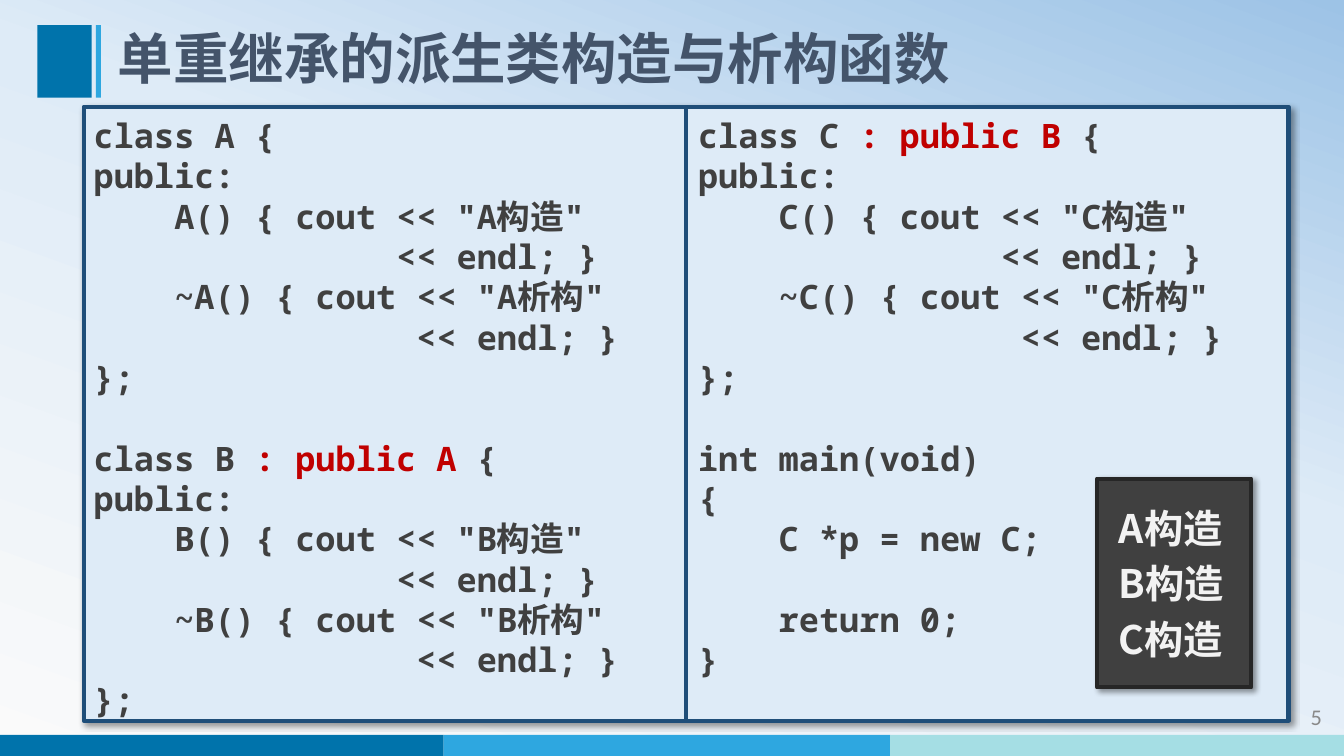
import copy

import lxml.etree
import pptx
import pptx.dml.color
import pptx.enum.shapes
import pptx.enum.text
import pptx.oxml
import pptx.oxml.ns
import pptx.util

Inches, Pt = pptx.util.Inches, pptx.util.Pt
qn = pptx.oxml.ns.qn
ANCHOR = pptx.enum.text.MSO_ANCHOR
ALIGN = pptx.enum.text.PP_ALIGN


class Theme:
    sans, mono, number = "Noto Sans CJK SC", "Noto Sans Mono", "Calibri"
    title_size, code_size, output_size, number_size = 39.6, 24, 28, 16
    line_factor = 1.2          # line pitch relative to type size
    character_width = 0.2      # one monospaced character at code_size, inches
    blue, sky, aqua = "0073AB", "2EA7E0", "A5DEE4"
    title, code, keyword, muted = "44546A", "404040", "C00000", "898989"
    panel, panel_line = "DEEBF7", "1F4E79"
    console, console_line, console_text = "404040", "262626", "F2F2F2"
    border = 3
    background = [(0, "FAFAFA"), (58, "DEEBF7"), (100, "9DC3E6")]
    background_angle = 70      # counter-clockwise degrees


def rgb(value):
    return pptx.dml.color.RGBColor.from_string(value)


def style(paragraph, size, font, color, bold=False):
    paragraph.font.size = Pt(size)
    paragraph.font.name = font
    paragraph.font.bold = bold
    paragraph.font.color.rgb = rgb(color)
    properties = paragraph._p.get_or_add_pPr().find(qn("a:defRPr"))
    east_asian = lxml.etree.Element(qn("a:ea"), typeface=Theme.sans)
    properties.find(qn("a:latin")).addnext(east_asian)


def set_indent(paragraph, left, first=0):
    properties = paragraph._p.get_or_add_pPr()
    properties.set("marL", str(Inches(left)))
    properties.set("indent", str(Inches(first)))


def add_shadow(shape):
    effects = shape._element.spPr.find(qn("a:effectLst"))
    effects.append(pptx.oxml.parse_xml(
        f'<a:outerShdw {pptx.oxml.ns.nsdecls("a")} blurRad="{Pt(4)}" dist="{Pt(3)}" '
        'dir="2700000" algn="tl" rotWithShape="0"><a:srgbClr val="000000">'
        '<a:alpha val="40000"/></a:srgbClr></a:outerShdw>'))


def add_rectangle(slide, box, fill, line=None):
    """A plain rectangle; an outlined one also casts a shadow."""
    shape = slide.shapes.add_shape(
        pptx.enum.shapes.MSO_SHAPE.RECTANGLE, *map(Inches, box))
    shape.shadow.inherit = False
    shape.fill.solid()
    shape.fill.fore_color.rgb = rgb(fill)
    if line:
        shape.line.color.rgb = rgb(line)
        shape.line.width = Pt(Theme.border)
        add_shadow(shape)
    else:
        shape.line.fill.background()
    return shape


def add_text_frame(slide, box, anchor):
    frame = slide.shapes.add_textbox(*map(Inches, box)).text_frame
    frame.word_wrap = True
    frame.vertical_anchor = anchor
    return frame


def paint_background(slide):
    fill = slide.background.fill
    fill.gradient()
    fill.gradient_angle = Theme.background_angle
    stop_list = slide._element.find(".//" + qn("a:gsLst"))
    stop_list.insert(1, copy.deepcopy(stop_list[0]))
    for stop, (position, color) in zip(fill.gradient_stops, Theme.background):
        stop.position = position / 100
        stop.color.rgb = rgb(color)


def add_footer(slide, box, number):
    left, top, width, height = box
    edges = [left, left + 4.4, left + 8.83, left + width]
    for start, end, color in zip(edges, edges[1:], (Theme.blue, Theme.sky, Theme.aqua)):
        add_rectangle(slide, (start, top, end - start, height), color)
    frame = add_text_frame(
        slide, (left + width - 1.71, top - 0.38, 1.59, 0.4), ANCHOR.MIDDLE)
    paragraph = frame.paragraphs[0]
    paragraph.text = number
    paragraph.alignment = ALIGN.RIGHT
    style(paragraph, Theme.number_size, Theme.number, Theme.muted)


def add_title(slide, box, text):
    left, top, width, height = box
    add_rectangle(slide, (left, top, 0.54, height), Theme.blue)
    add_rectangle(slide, (left + 0.58, top, 0.05, height), Theme.sky)
    frame = add_text_frame(slide, (left + 0.7, top, width - 0.7, height), ANCHOR.MIDDLE)
    paragraph = frame.paragraphs[0]
    paragraph.text = text
    paragraph.line_spacing = 0.9
    style(paragraph, Theme.title_size, Theme.sans, Theme.title, True)


def add_code(slide, box, lines):
    """Lines are (indent in characters, text, ...); odd pieces are highlighted."""
    frame = add_text_frame(slide, box, ANCHOR.TOP)
    frame.margin_top = Inches(0.08)
    pitch = Pt(Theme.code_size * Theme.line_factor)
    for index, (indent, *pieces) in enumerate(lines):
        paragraph = frame.add_paragraph() if index else frame.paragraphs[0]
        paragraph.line_spacing = pitch
        # A new block, or a return, is set off by one line
        if index and pieces[0].startswith(("class", "int", "return")):
            paragraph.space_before = pitch
        set_indent(paragraph, indent * Theme.character_width)
        style(paragraph, Theme.code_size, Theme.mono, Theme.code, True)
        for position, piece in enumerate(pieces):
            run = paragraph.add_run()
            run.text = piece
            if position % 2:
                run.font.color.rgb = rgb(Theme.keyword)


def class_lines(name, base=None):
    heading = (f"class {name} ", f": public {base} ", "{") if base else (f"class {name} {{",)
    return [
        (0, *heading),
        (0, "public:"),
        (4, f'{name}() {{ cout << "{name}构造"'),
        (15, "<< endl; }"),
        (4, f'~{name}() {{ cout << "{name}析构"'),
        (16, "<< endl; }"),
        (0, "};"),
    ]


def add_code_panel(slide, box, left_lines, right_lines):
    left, top, width, height = box
    add_rectangle(slide, box, Theme.panel, Theme.panel_line)
    middle = left + width / 2
    divider = slide.shapes.add_connector(
        pptx.enum.shapes.MSO_CONNECTOR.STRAIGHT,
        Inches(middle), Inches(top), Inches(middle), Inches(top + height))
    divider.line.color.rgb = rgb(Theme.panel_line)
    divider.line.width = Pt(Theme.border)
    lxml.etree.SubElement(divider._element.spPr, qn("a:effectLst"))
    for column, lines in ((left, left_lines), (middle + 0.02, right_lines)):
        add_code(slide, (column, top, width / 2, height), lines)


def add_output(slide, box, lines):
    frame = add_rectangle(slide, box, Theme.console, Theme.console_line).text_frame
    frame.word_wrap = True
    frame.vertical_anchor = ANCHOR.MIDDLE
    for index, line in enumerate(lines):
        paragraph = frame.add_paragraph() if index else frame.paragraphs[0]
        paragraph.text = line
        paragraph.alignment = ALIGN.LEFT
        paragraph.line_spacing = Pt(Theme.output_size * Theme.line_factor)
        paragraph.space_before = Pt(6)
        set_indent(paragraph, 0.4, -0.28)
        style(paragraph, Theme.output_size, Theme.sans, Theme.console_text, True)


presentation = pptx.Presentation()
presentation.slide_width, presentation.slide_height = Inches(13.33), Inches(7.5)
slide = presentation.slides.add_slide(presentation.slide_layouts[6])

main_lines = [(0, "int main(void)"), (0, "{"), (4, "C *p = new C;"),
              (4, "return 0;"), (0, "}")]

paint_background(slide)
add_footer(slide, (0, 7.29, 13.33, 0.21), "5")
add_title(slide, (0.37, 0.25, 11.56, 0.72), "单重继承的派生类构造与析构函数")
add_code_panel(slide, (0.83, 1.06, 11.95, 6.09),
               class_lines("A") + class_lines("B", "A"),
               class_lines("C", "B") + main_lines)
add_output(slide, (10.88, 4.75, 1.53, 2.07), [f"{name}构造" for name in "ABC"])

presentation.save("out.pptx")
